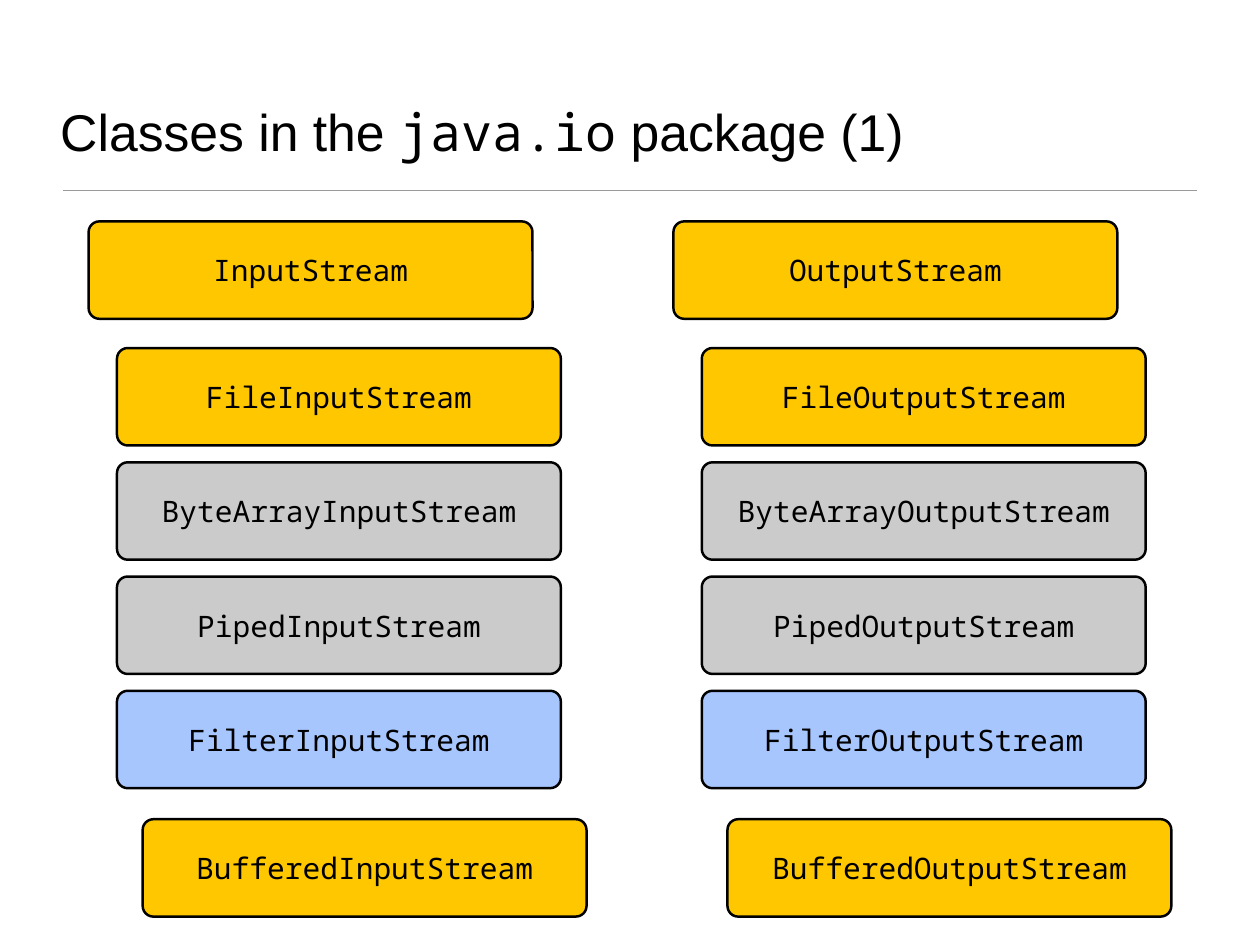
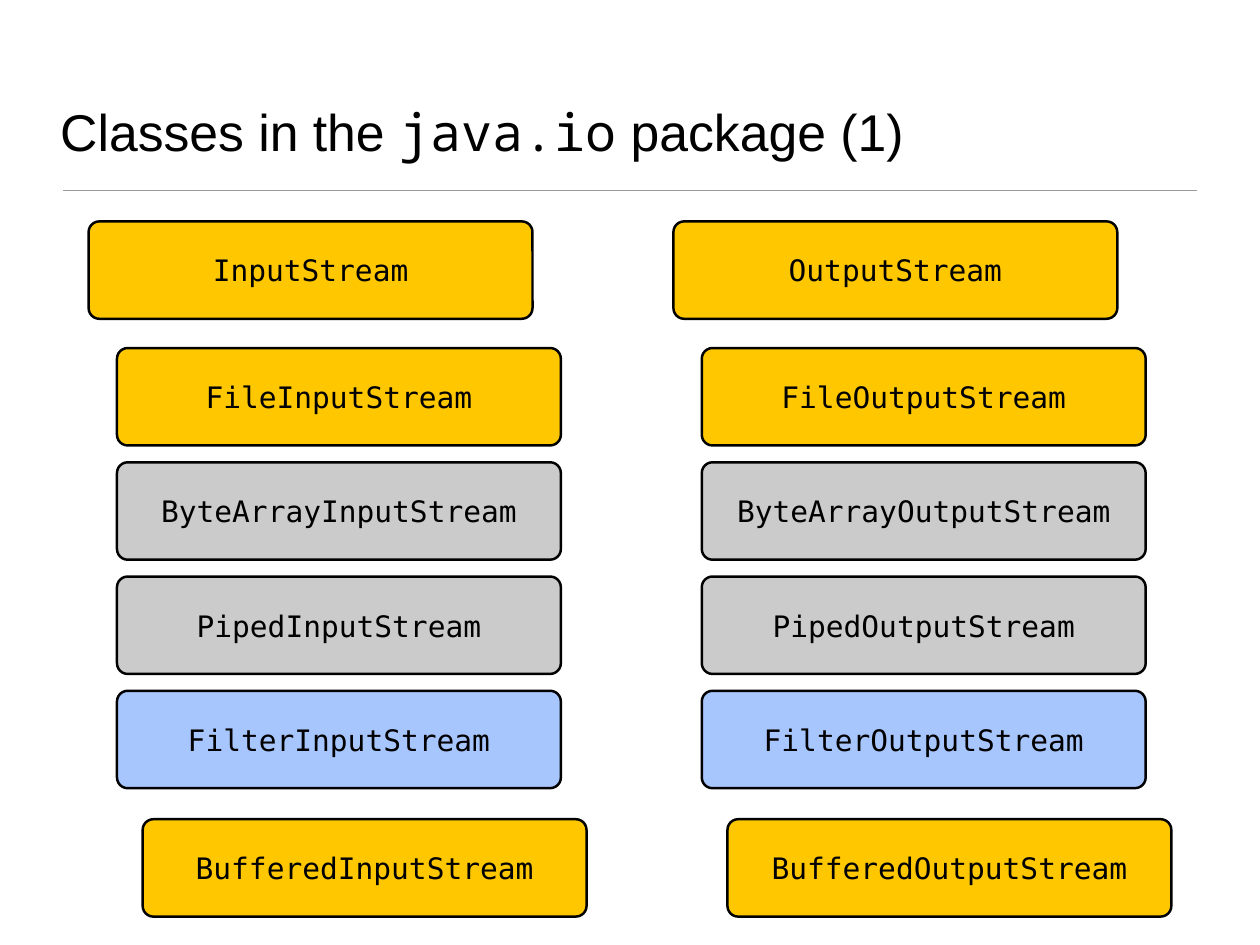
from lxml import etree
from pptx import Presentation
from pptx import util as u
from pptx.dml import color
from pptx.enum import shapes, text
from pptx.oxml import ns

PX = 9144  # 100 px to the inch
BLACK, RULE = "000000", "9A9A9A"
GOLD, GREY, BLUE = "FEC700", "CBCBCB", "A8C6FE"
SANS, MONO, CODE = "Arial", "Noto Sans Mono", "DejaVu Sans Mono"
TITLE = [("Classes in the ", SANS), ("java.io", MONO), (" package (1)", SANS)]

BOX_W, BOX_H, PAD = 501, 110, 6
COLS = {"Input": 100, "Output": 760}
INDENT = [0, 32, 61]
KIDS_TOP, PITCH = 393, 129
KIDS = [("File", GOLD), ("ByteArray", GREY), ("Piped", GREY), ("Filter", BLUE)]
# prefix, depth, top, fill
ROWS = [
    ("", 0, 250, GOLD),
    *[(pre, 1, KIDS_TOP + i * PITCH, fill) for i, (pre, fill) in enumerate(KIDS)],
    ("Buffered", 2, 925, GOLD),
]


def px(*vals):
    return [u.Emu(v * PX) for v in vals]


def rgb(code):
    return color.RGBColor.from_string(code)


def set_frame(frame, anchor):
    frame.word_wrap = True
    frame.vertical_anchor = anchor
    frame.margin_left, frame.margin_top, frame.margin_right, frame.margin_bottom = px(*[PAD] * 4)


def set_font(font, size, name=None):
    font.size = u.Pt(size)
    font.color.rgb = rgb(BLACK)
    if name:
        font.name = name


def add_rule(slide):
    line = slide.shapes.add_connector(
        shapes.MSO_CONNECTOR.STRAIGHT, *px(71, 215, 1351, 215))
    line.line.color.rgb = rgb(RULE)
    line.line.width = u.Pt(1)
    etree.SubElement(line._element.spPr, ns.qn("a:effectLst"))


def add_title(slide, runs):
    frame = slide.shapes.add_textbox(*px(62, 36, 1297, 153)).text_frame
    set_frame(frame, text.MSO_ANCHOR.BOTTOM)
    para = frame.paragraphs[0]
    set_font(para.font, 42)
    for words, name in runs:
        run = para.add_run()
        run.text = words
        run.font.name = name


def add_box(home, left, top, label, fill, font):
    box = home.add_shape(
        shapes.MSO_SHAPE.ROUNDED_RECTANGLE, *px(left, top, BOX_W, BOX_H))
    box.adjustments[0] = 0.11
    box.shadow.inherit = False
    box.fill.solid()
    box.fill.fore_color.rgb = rgb(fill)
    box.line.color.rgb = rgb(BLACK)
    box.line.width = u.Pt(2)
    set_frame(box.text_frame, text.MSO_ANCHOR.MIDDLE)
    para = box.text_frame.paragraphs[0]
    para.text = label
    para.alignment = text.PP_ALIGN.CENTER
    set_font(para.font, 24, font)


def add_tree(home, kind, font):
    """Stack one column of stream classes, indented by depth."""
    for pre, depth, top, fill in ROWS:
        left = COLS[kind] + INDENT[depth]
        add_box(home, left, top, f"{pre}{kind}Stream", fill, font)


def add_slide(deck, font, grouped):
    slide = deck.slides.add_slide(deck.slide_layouts[6])
    add_rule(slide)
    add_title(slide, TITLE)
    for kind in COLS:
        home = slide.shapes.add_group_shape().shapes if grouped else slide.shapes
        add_tree(home, kind, font)


def main():
    deck = Presentation()
    deck.slide_width, deck.slide_height = px(1422, 1067)
    add_slide(deck, MONO, grouped=False)
    add_slide(deck, CODE, grouped=True)
    deck.save("out.pptx")


if __name__ == "__main__":
    main()
